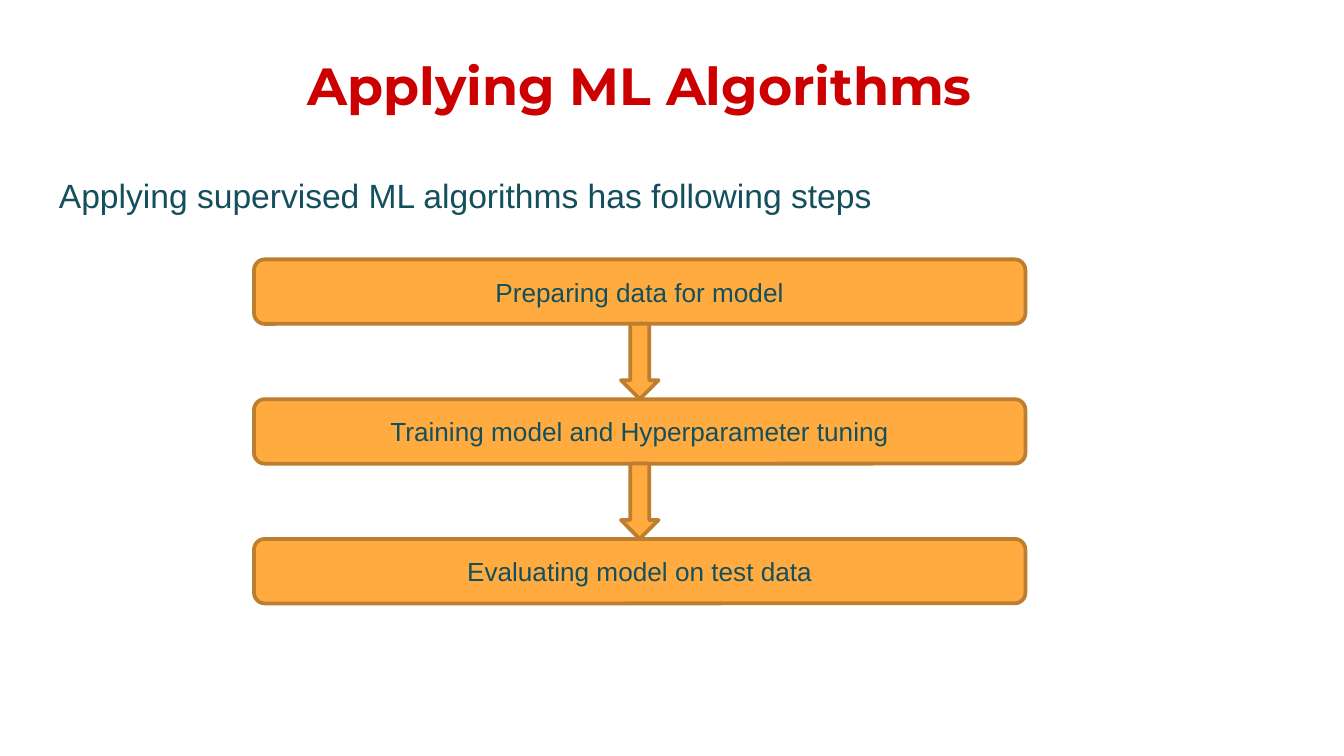
from dataclasses import dataclass
from typing import NamedTuple

from pptx import Presentation
from pptx.dml.color import RGBColor
from pptx.enum.shapes import MSO_SHAPE
from pptx.enum.text import MSO_ANCHOR, PP_ALIGN
from pptx.util import Inches, Pt


@dataclass(frozen=True)
class Theme:
    heading_font: str = "Montserrat"
    body_font: str = "Arial"
    heading_color: str = "CC0000"
    body_color: str = "134F5C"
    step_fill: str = "FFAB40"
    step_outline: str = "BD7F2F"
    outline_width: float = 2
    heading_size: int = 28
    intro_size: int = 18
    step_size: int = 14


class Box(NamedTuple):
    left: float
    top: float
    width: float
    height: float

    def lengths(self):
        return [Inches(value) for value in self]


THEME = Theme()
SLIDE_WIDTH = 10
STEPS = (
    "Preparing data for model",
    "Training model and Hyperparameter tuning",
    "Evaluating model on test data",
)
FIRST_STEP = Box(1.89, 1.93, 5.74, 0.48)
ARROW_WIDTH = 0.28
ARROW_HEIGHT = 0.56


def write_text(shape, text: str, *, size: int, color: str = THEME.body_color,
               font: str = THEME.body_font, bold: bool = False,
               align=PP_ALIGN.CENTER, anchor=MSO_ANCHOR.TOP,
               vertical_inset: float = 0.05) -> None:
    frame = shape.text_frame
    frame.word_wrap = True
    frame.vertical_anchor = anchor
    frame.margin_top = frame.margin_bottom = Inches(vertical_inset)
    paragraph = frame.paragraphs[0]
    paragraph.alignment = align
    run = paragraph.add_run()
    run.text = text
    run.font.name = font
    run.font.size = Pt(size)
    run.font.bold = bold
    run.font.color.rgb = RGBColor.from_string(color)


def draw_flow_shape(slide, kind: MSO_SHAPE, box: Box):
    shape = slide.shapes.add_shape(kind, *box.lengths())
    shape.shadow.inherit = False
    shape.fill.solid()
    shape.fill.fore_color.rgb = RGBColor.from_string(THEME.step_fill)
    shape.line.color.rgb = RGBColor.from_string(THEME.step_outline)
    shape.line.width = Pt(THEME.outline_width)
    return shape


def draw_flow(slide) -> None:
    pitch = FIRST_STEP.height + ARROW_HEIGHT
    boxes = [FIRST_STEP._replace(top=FIRST_STEP.top + index * pitch)
             for index in range(len(STEPS))]
    for label, box in zip(STEPS, boxes):
        step = draw_flow_shape(slide, MSO_SHAPE.ROUNDED_RECTANGLE, box)
        write_text(step, label, size=THEME.step_size, anchor=MSO_ANCHOR.MIDDLE)
    for box in boxes[:-1]:
        arrow_left = box.left + (box.width - ARROW_WIDTH) / 2
        draw_flow_shape(slide, MSO_SHAPE.DOWN_ARROW,
                        Box(arrow_left, box.top + box.height, ARROW_WIDTH, ARROW_HEIGHT))


def main() -> None:
    presentation = Presentation()
    presentation.slide_width = Inches(SLIDE_WIDTH)
    presentation.slide_height = Inches(SLIDE_WIDTH * 9 / 16)
    slide = presentation.slides.add_slide(presentation.slide_layouts[6])

    heading = slide.shapes.add_textbox(*Box(1, 0.3, 7.52, 0.63).lengths())
    write_text(heading, "Applying ML Algorithms", size=THEME.heading_size,
               color=THEME.heading_color, font=THEME.heading_font, bold=True,
               vertical_inset=0.1)
    intro = slide.shapes.add_textbox(*Box(0.34, 1.25, 8.97, 0.4).lengths())
    write_text(intro, "Applying supervised ML algorithms has following steps",
               size=THEME.intro_size, align=PP_ALIGN.JUSTIFY)
    draw_flow(slide)
    presentation.save("out.pptx")


if __name__ == "__main__":
    main()
